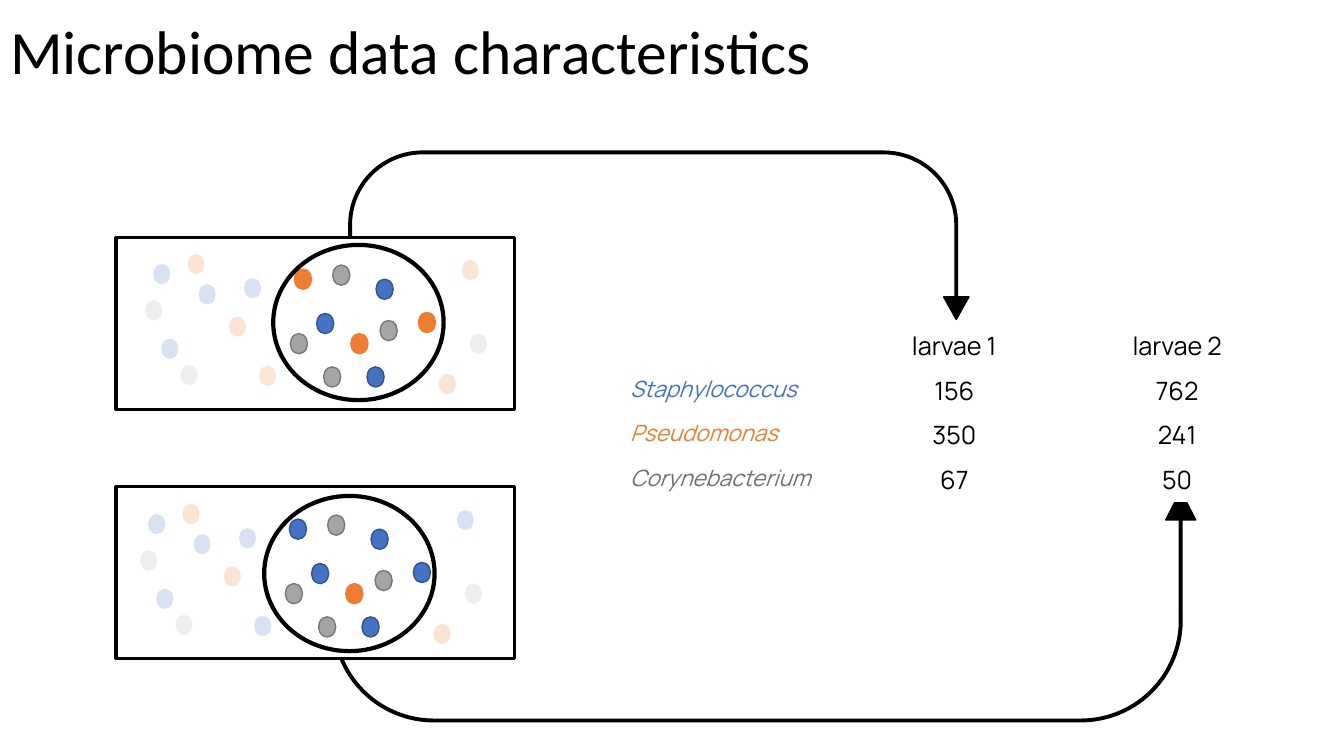
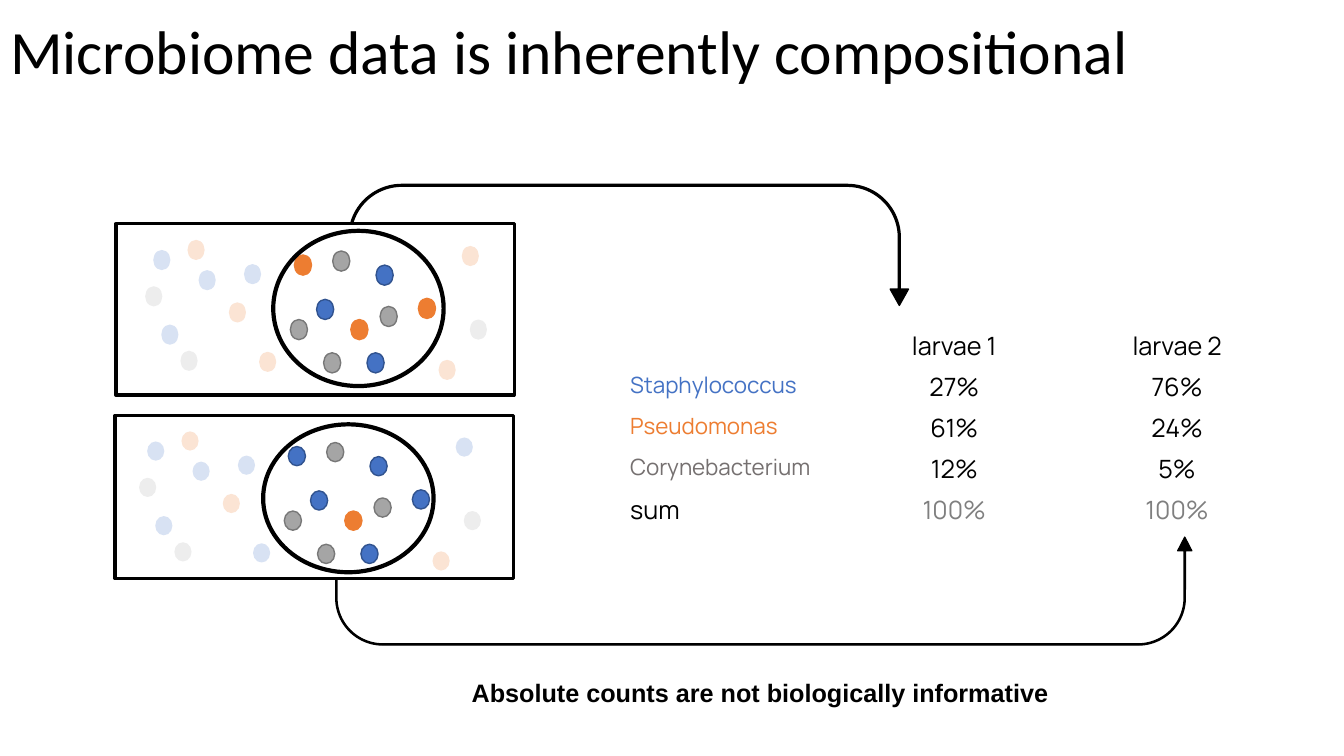
"""Build two slides on sampling and composition in microbiome data."""
from pptx import Presentation
from pptx import util as u
from pptx.dml import color
from pptx.enum import shapes, text

BLACK, WHITE, GREY = "000000", "FFFFFF", "7F7F7F"
BLUE, RUST, STONE = "4472C4", "ED7D31", "757070"
DOTS = {
    "B": (BLUE, "31538F"), "O": (RUST, RUST), "G": ("A5A5A5", "787878"),
    "b": ("D8E2F3", None), "o": ("FBE4D4", None), "g": ("EDEDED", None),
}
SWARM = [
    (3.7, 2.6), (8.2, 4.6), (4.5, 10), (12.7, 4), (19.9, 7.5), (25.8, 4.1),
    (24.9, 12.8), (14.2, 12.7), (11.2, 7.8), (17.7, 3.1), (30, 7.4),
    (32, 13.5), (34.3, 2.2), (23.3, 9.5), (7.1, 1.6), (2.9, 6.2),
    (17.3, 9.5), (21.5, 2.7), (20.6, 12.8), (35.1, 9.5), (6.4, 12.6),
    (26.2, 8.2),
]
FIRST = "bbbbBBBooOOooOogGGGggG"
SECOND = "bbbbBBBboBBobOogGGGggG"
DOWN = (0.015, 0.075, 0.134, 0.438, 1)
UP = (0.011, 0.065, 0.126, 0.438, 1)
GENERA = [("Staphylococcus", BLUE), ("Pseudomonas", RUST), ("Corynebacterium", STONE)]
HEAD = ["larvae 1", "larvae 2"]


def tint(code):
    """Turn a hex string into a colour."""
    return color.RGBColor.from_string(code)


class Deck:
    """Hold the style, the grid and the current slide."""

    cell = u.Inches(0.1)
    oval = shapes.MSO_SHAPE.OVAL
    face = "Manrope"

    def __init__(self):
        """Open a wide deck."""
        self.show = Presentation()
        self.show.slide_width = u.Inches(13.33)
        self.show.slide_height = u.Inches(7.5)

    def grid(self, *spans):
        """Turn grid columns and rows into lengths."""
        return [round(span * self.cell) for span in spans]

    def run(self, para, words, size, hue, face=face, bold=False, slant=False):
        """Add one styled run."""
        run = para.add_run()
        run.text = words
        font = run.font
        font.name, font.size = face, u.Pt(size)
        font.bold, font.italic = bold, slant
        font.color.rgb = tint(hue)

    def page(self, words):
        """Start a slide with its title."""
        self.slide = self.show.slides.add_slide(self.show.slide_layouts[5])
        title = self.slide.shapes.title
        title.left, title.top, title.width, title.height = self.grid(0, 0.2, 127.9, 10.4)
        frame = title.text_frame
        frame.auto_size = text.MSO_AUTO_SIZE.NONE
        frame.vertical_anchor = text.MSO_ANCHOR.MIDDLE
        para = frame.paragraphs[0]
        para.alignment, para.line_spacing = text.PP_ALIGN.LEFT, 0.9
        self.run(para, words, 44, BLACK, "Calibri")

    def shape(self, kind, box, fill=None, edge=None, width=1):
        """Add a flat preset shape."""
        item = self.slide.shapes.add_shape(kind, *self.grid(*box))
        item.shadow.inherit = False
        for paint, hue in ((item.fill, fill), (item.line.fill, edge)):
            if hue:
                paint.solid()
                paint.fore_color.rgb = tint(hue)
            else:
                paint.background()
        if edge:
            item.line.width = u.Pt(width)
        return item

    def arrow(self, box, bends, flip=False):
        """Add a U-turn arrow that points down, or up when flipped."""
        item = self.shape(shapes.MSO_SHAPE.U_TURN_ARROW, box, BLACK, BLACK)
        for spot, bend in enumerate(bends):
            item.adjustments[spot] = bend
        if flip:
            item.element.spPr.xfrm.set("flipV", "1")

    def sample(self, kinds, box, start, ring):
        """Add a panel of dots with a ring round the sampled ones."""
        self.shape(shapes.MSO_SHAPE.RECTANGLE, box, WHITE, BLACK, 2.25)
        scale = box[3] / 17
        for kind, (col, row) in zip(kinds, SWARM):
            spot = (start[0] + col, start[1] + row, 1.7, 2 * scale)
            self.shape(self.oval, spot, *DOTS[kind])
        self.shape(self.oval, (*ring, 16.9, 15.4 * scale), None, BLACK, 3)

    def table(self, rows, high, slant=False):
        """Add the table of (name, hue, values, value hue) rows."""
        box = self.grid(61.5, 32.1, 66.3, high * len(rows))
        grid = self.slide.shapes.add_table(len(rows), 3, *box).table
        grid.first_row = grid.horz_banding = False
        for line, (name, hue, values, tone) in zip(grid.rows, rows):
            line.height = self.grid(high)[0]
            for cell, words in zip(line.cells, [name, *values]):
                cell.fill.solid()
                cell.fill.fore_color.rgb = tint(WHITE)
                para = cell.text_frame.paragraphs[0]
                if words in values:
                    para.alignment = text.PP_ALIGN.CENTER
                    self.run(para, words, 18, tone)
                elif words:
                    genus = hue != BLACK
                    self.run(para, words, 16 if genus else 18, hue, slant=slant and genus)

    def note(self, words, box):
        """Add a bold line of text."""
        frame = self.slide.shapes.add_textbox(*self.grid(*box)).text_frame
        frame.word_wrap = True
        self.run(frame.paragraphs[0], words, 18, BLACK, "Arial", bold=True)


def fill(pairs):
    """Join the header and the genus rows."""
    body = [(*genus, pair, BLACK) for genus, pair in zip(GENERA, pairs)]
    return [("", BLACK, HEAD, BLACK), *body]


def main():
    """Build and save the deck."""
    deck = Deck()

    deck.page("Microbiome data characteristics")
    deck.arrow((33, 48.7, 85.6, 22.9), UP, True)
    deck.arrow((34.6, 15, 61.5, 16.7), DOWN)
    deck.sample(FIRST, (11.5, 23.6, 39.5, 17), (11.5, 23.6), (27.1, 24.3))
    deck.sample(SECOND, (11.5, 48.3, 39.5, 17), (11, 48.4), (26.2, 49.2))
    deck.table(fill([("156", "762"), ("350", "241"), ("67", "50")]), 4.42, True)

    deck.page("Microbiome data is inherently compositional")
    deck.note("Absolute counts are not biologically informative", (45.8, 66.7, 64.3, 4))
    deck.arrow((34.6, 18.3, 55.5, 12), DOWN)
    deck.arrow((33.3, 53.3, 84.9, 10.7), UP, True)
    deck.sample(FIRST, (11.5, 22.2, 39.5, 17), (11.5, 22.2), (27.1, 22.9))
    deck.sample(SECOND, (11.4, 41.2, 39.5, 16.2), (10.9, 41.2), (26.1, 42.1))
    shares = fill([("27%", "76%"), ("61%", "24%"), ("12%", "5%")])
    deck.table([*shares, ("sum", BLACK, ("100%", "100%"), GREY)], 4.06)

    deck.show.save("out.pptx")


if __name__ == "__main__":
    main()
